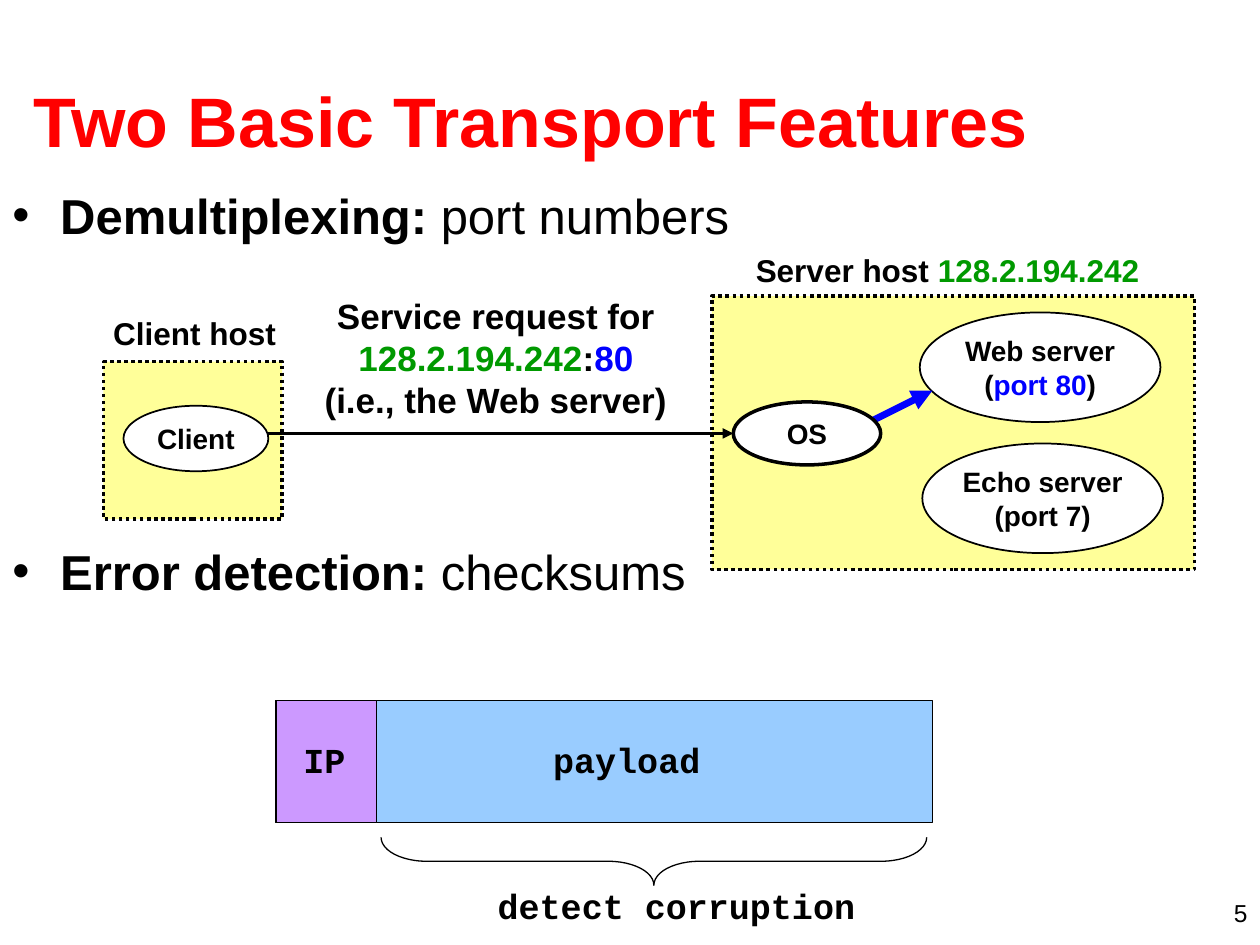
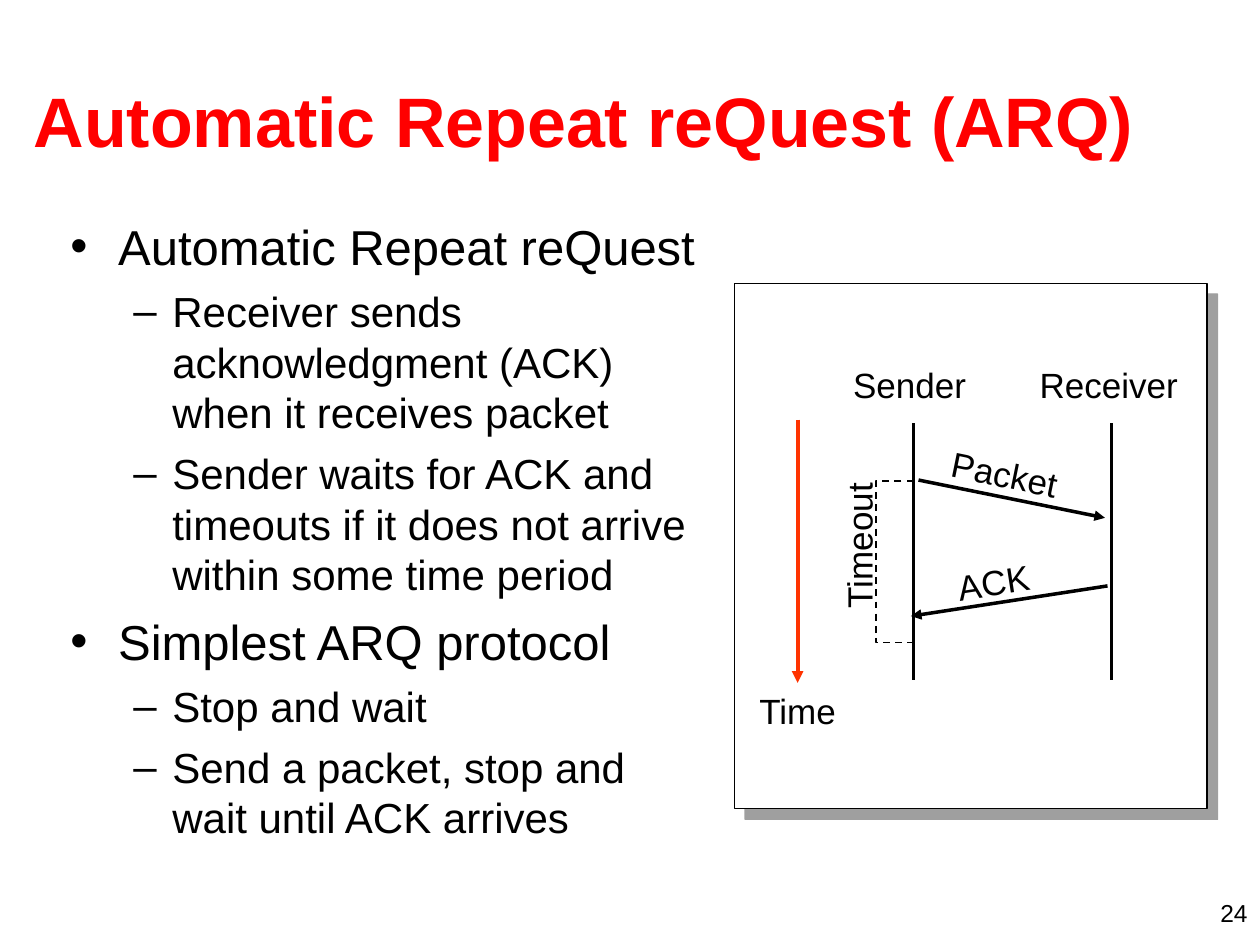
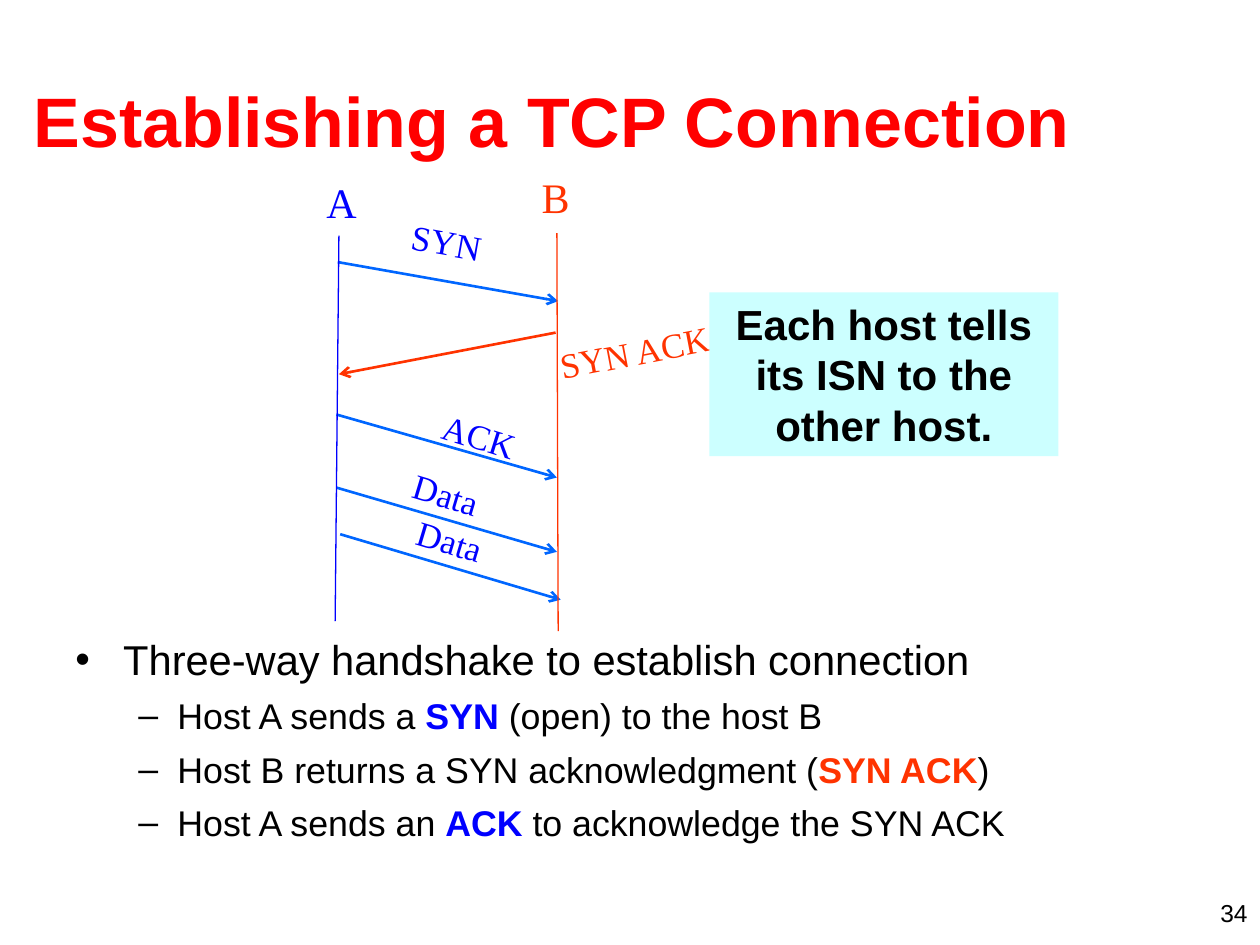
from dataclasses import dataclass
from lxml.etree import SubElement
from pptx import Presentation
from pptx.dml.color import RGBColor
from pptx.enum.dml import MSO_LINE as Dash
from pptx.enum.shapes import MSO_CONNECTOR as Link, MSO_SHAPE as Form
from pptx.enum.text import MSO_ANCHOR as Anchor, PP_ALIGN as Align
from pptx.oxml.ns import qn
from pptx.util import Inches, Pt

BLACK = "000000"
WHITE = "FFFFFF"
RED = "FF0000"
ORANGE = "FF3300"
BLUE = "0000FF"
SKY = "0066FF"
GREEN = "009900"
YELLOW = "FFFF99"
GREY = "808080"
SANS = "Arial"
MONO = "Courier New"
SERIF = "Times New Roman"
LEAD = 1.2


@dataclass(frozen=True)
class Look:
    size: float = 20
    color: str = BLACK
    bold: bool = False
    font: str = SANS
    align: Align = Align.CENTER
    anchor: Anchor = Anchor.MIDDLE
    wrap: bool = False


@dataclass(frozen=True)
class Span:
    text: str
    color: str | None = None
    bold: bool | None = None


@dataclass(frozen=True)
class Box:
    left: float
    top: float
    width: float
    height: float
    turn: float = 0


@dataclass(frozen=True)
class Edge:
    color: str = BLACK
    width: float = 0.75
    dash: Dash | None = None


@dataclass(frozen=True)
class Level:
    mark: str
    left: float
    hang: float
    before: float


@dataclass(frozen=True)
class Item:
    level: int
    spans: tuple
    before: float | None = None


@dataclass(frozen=True)
class Arrow:
    start: tuple
    end: tuple
    edge: Edge
    tip: str | None = None


@dataclass(frozen=True)
class Label:
    box: Box
    lines: tuple
    look: Look


LEVELS = (Level("•", 0.38, 0.38, 7), Level("–", 0.81, 0.31, 6))
TITLE = Look(40, RED, True, align=Align.LEFT, wrap=True)
NUMBER = Look(14, align=Align.RIGHT, anchor=Anchor.TOP, wrap=True)
BODY = Look(28, align=Align.LEFT, anchor=Anchor.TOP, wrap=True)
PLAIN = Look()
STRONG = Look(bold=True)
HOST = Look(18, bold=True, align=Align.LEFT, anchor=Anchor.TOP)
NODE = Look(16, bold=True)
CODE = Look(bold=True, font=MONO, anchor=Anchor.TOP)
THIN = Edge(width=1)
THICK = Edge(width=2)
DOTTED = Edge(width=2, dash=Dash.ROUND_DOT)


def rgb(value: str) -> RGBColor:
    return RGBColor.from_string(value)


def place(box: Box) -> tuple:
    return tuple(Inches(n) for n in (box.left, box.top, box.width, box.height))


def fill_para(para, spans: tuple, look: Look, size: float) -> None:
    para.alignment = look.align
    para.line_spacing = Pt(round(size * LEAD, 1))
    for part in spans:
        span = Span(part) if isinstance(part, str) else part
        run = para.add_run()
        run.text = span.text
        run.font.size = Pt(size)
        run.font.name = look.font
        run.font.bold = look.bold if span.bold is None else span.bold
        run.font.color.rgb = rgb(span.color or look.color)


def paras(frame, count: int, look: Look) -> list:
    frame.word_wrap = look.wrap
    frame.vertical_anchor = look.anchor
    if look.align == Align.CENTER and not look.wrap:
        frame.margin_left = frame.margin_right = Inches(0.03)
    return [frame.paragraphs[0]] + [frame.add_paragraph() for _ in range(count - 1)]


def write(frame, lines: tuple, look: Look) -> None:
    for para, line in zip(paras(frame, len(lines), look), lines):
        fill_para(para, (line,) if isinstance(line, str) else line, look, look.size)


def text(slide, label: Label) -> None:
    shape = slide.shapes.add_textbox(*place(label.box))
    shape.rotation = label.box.turn
    write(shape.text_frame, label.lines, label.look)


def bullets(slide, box: Box, items: tuple, sizes: tuple) -> None:
    frame = slide.shapes.add_textbox(*place(box)).text_frame
    for para, item in zip(paras(frame, len(items), BODY), items):
        level = LEVELS[item.level]
        fill_para(para, item.spans, BODY, sizes[item.level])
        para.level = item.level
        para.space_before = Pt(level.before if item.before is None else item.before)
        props = para._p.get_or_add_pPr()
        props.set("marL", str(Inches(level.left)))
        props.set("indent", str(-Inches(level.hang)))
        tint = SubElement(props, qn("a:buClr"))
        SubElement(tint, qn("a:srgbClr"), val=BLACK)
        SubElement(props, qn("a:buFont"), typeface=SANS)
        SubElement(props, qn("a:buChar"), char=level.mark)


def outline(line, edge: Edge) -> None:
    line.color.rgb = rgb(edge.color)
    line.width = Pt(edge.width)
    if edge.dash is not None:
        line.dash_style = edge.dash


def paint(shape, fill: str | None, edge: Edge | None) -> None:
    shape.shadow.inherit = False
    if fill:
        shape.fill.solid()
        shape.fill.fore_color.rgb = rgb(fill)
    else:
        shape.fill.background()
    if edge:
        outline(shape.line, edge)
    else:
        shape.line.fill.background()


def draw(slide, form: Form, box: Box, fill: str | None, edge: Edge | None):
    shape = slide.shapes.add_shape(form, *place(box))
    shape.rotation = box.turn
    paint(shape, fill, edge)
    return shape


def node(slide, box: Box, lines: tuple, edge: Edge = THIN) -> None:
    shape = draw(slide, Form.OVAL, box, WHITE, edge)
    write(shape.text_frame, lines, NODE)


def join(slide, arrow: Arrow) -> None:
    ends = [Inches(n) for n in arrow.start + arrow.end]
    link = slide.shapes.add_connector(Link.STRAIGHT, *ends)
    outline(link.line, arrow.edge)
    SubElement(link._element.spPr, qn("a:effectLst"))
    if arrow.tip:
        SubElement(link.line._get_or_add_ln(), qn("a:tailEnd"), type=arrow.tip)


def cast(shape) -> None:
    effects = shape._element.spPr.find(qn("a:effectLst"))
    shade = SubElement(effects, qn("a:outerShdw"), blurRad="0", dist=str(Pt(8.5)),
                       dir="2700000", algn="ctr", rotWithShape="0")
    tint = SubElement(shade, qn("a:srgbClr"), val=GREY)
    SubElement(tint, qn("a:alpha"), val="75000")


def start(deck, title: str, number: str):
    slide = deck.slides.add_slide(deck.slide_layouts[6])
    text(slide, Label(Box(7.67, 7.08, 2.33, 0.25), (number,), NUMBER))
    text(slide, Label(Box(0.17, 0.32, 9.58, 1.25), (title,), TITLE))
    return slide


def features(deck) -> None:
    slide = start(deck, "Two Basic Transport Features", "5")
    items = (
        Item(0, (Span("Demultiplexing:", bold=True), " port numbers")),
        Item(0, (Span("Error detection:", bold=True), " checksums"), 170),
    )
    bullets(slide, Box(0, 1.42, 9, 4.95), items, (28, 24))
    for box in (Box(0.82, 2.87, 1.42, 1.25), Box(5.65, 2.35, 3.83, 2.17)):
        draw(slide, Form.RECTANGLE, box, YELLOW, DOTTED)
    address = Span("128.2.194.242", GREEN)
    request = ("Service request for", (address, ":", Span("80", BLUE)),
               "(i.e., the Web server)")
    for label in (
        Label(Box(0.8, 2.44, 1.49, 0.4), ("Client host",), HOST),
        Label(Box(5.9, 1.94, 3.24, 0.4), (("Server host ", address),), HOST),
        Label(Box(2.33, 2.29, 3.21, 1.1), request, STRONG),
    ):
        text(slide, label)
    web = ("Web server", ("(", Span("port 80", BLUE), ")"))
    node(slide, Box(7.3, 2.48, 1.91, 0.87), web)
    node(slide, Box(7.32, 3.52, 1.91, 0.87), ("Echo server", "(port 7)"))
    join(slide, Arrow((2.07, 3.44), (5.82, 3.44), THICK, "triangle"))
    join(slide, Arrow((6.9, 3.35), (7.4, 3.1), Edge(BLUE, 4), "triangle"))
    node(slide, Box(5.82, 3.19, 1.17, 0.5), ("OS",), THICK)
    node(slide, Box(0.98, 3.22, 1.15, 0.52), ("Client",))
    for width, fill in ((5.21, "99CCFF"), (0.8, "CC99FF")):
        draw(slide, Form.RECTANGLE, Box(2.19, 5.56, width, 0.97), fill, Edge())
    brace = draw(slide, Form.LEFT_BRACE, Box(5, 4.67, 0.38, 4.33, 270), None, Edge())
    brace.adjustments[0] = 0.95
    for box, word in (
        (Box(2.31, 5.81, 0.53, 0.44), "IP"),
        (Box(4.29, 5.81, 1.37, 0.44), "payload"),
        (Box(3.85, 6.97, 3.04, 0.44), "detect corruption"),
    ):
        text(slide, Label(box, (word,), CODE))


def repeat(deck) -> None:
    slide = start(deck, "Automatic Repeat reQuest (ARQ)", "24")
    cast(draw(slide, Form.RECTANGLE, Box(5.83, 2.25, 3.75, 4.17), WHITE, Edge()))
    items = (
        Item(0, ("Automatic Repeat reQuest",)),
        Item(1, ("Receiver sends acknowledgment (ACK) when it receives packet",)),
        Item(1, ("Sender waits for ACK and timeouts if it does not arrive "
                 "within some time period",)),
        Item(0, ("Simplest ARQ protocol",)),
        Item(1, ("Stop and wait",)),
        Item(1, ("Send a packet, stop and wait until ACK arrives",)),
    )
    bullets(slide, Box(0.46, 1.67, 5.26, 5.08), items, (28, 24))
    pen = slide.shapes.build_freeform(Inches(7.25), Inches(3.82), scale=1.0)
    turns = ((6.95, 3.82), (6.95, 5.1), (7.25, 5.1))
    pen.add_line_segments([(Inches(x), Inches(y)) for x, y in turns], close=False)
    paint(pen.convert_to_shape(), None, Edge(width=1, dash=Dash.DASH))
    for arrow in (
        Arrow((7.25, 3.36), (7.25, 5.4), THICK),
        Arrow((8.82, 3.36), (8.82, 5.4), THICK),
        Arrow((7.29, 3.81), (8.77, 4.11), THICK, "triangle"),
        Arrow((8.79, 4.65), (7.23, 4.89), THICK, "triangle"),
        Arrow((6.33, 3.33), (6.33, 5.42), Edge(ORANGE, 2.25), "triangle"),
    ):
        join(slide, arrow)
    for box, word in (
        (Box(5.92, 5.42, 0.82, 0.44), "Time"),
        (Box(7.45, 3.54, 1.05, 0.44, 11.5), "Packet"),
        (Box(7.5, 4.4, 0.77, 0.44, 351.2), "ACK"),
        (Box(6.15, 4.11, 1.33, 0.44, 270), "Timeout"),
        (Box(6.67, 2.83, 1.1, 0.44), "Sender"),
        (Box(8.15, 2.83, 1.3, 0.44), "Receiver"),
    ):
        text(slide, Label(box, (word,), PLAIN))


def connect(deck) -> None:
    slide = start(deck, "Establishing a TCP Connection", "34")
    items = (
        Item(0, ("Three-way handshake to establish connection",)),
        Item(1, ("Host A sends a ", Span("SYN", BLUE, True), " (open) to the host B")),
        Item(1, ("Host B returns a SYN acknowledgment (",
                 Span("SYN ACK", ORANGE, True), ")")),
        Item(1, ("Host A sends an ", Span("ACK", BLUE, True),
                 " to acknowledge the SYN ACK")),
    )
    bullets(slide, Box(0.5, 4.98, 9, 1.72), items, (23.8, 20.4))
    send, reply = Edge(SKY, 1.5), Edge(ORANGE, 1.5)
    for arrow in (
        Arrow((2.68, 2.08), (4.43, 2.39), send, "arrow"),
        Arrow((4.41, 2.64), (2.69, 2.97), reply, "arrow"),
        Arrow((2.67, 3.29), (4.42, 3.79), send, "arrow"),
        Arrow((2.67, 3.87), (4.42, 4.38), send, "arrow"),
        Arrow((2.7, 4.24), (4.45, 4.76), send, "arrow"),
        Arrow((4.42, 1.85), (4.43, 5.01), Edge(ORANGE)),
        Arrow((2.69, 1.87), (2.66, 4.93), Edge(BLUE)),
    ):
        join(slide, arrow)
    for box, word, size, color in (
        (Box(3.17, 1.7, 0.75, 0.44, 10.1), "SYN", 20, BLUE),
        (Box(4.32, 2.57, 1.43, 0.44, 349.1), "SYN ACK", 20, ORANGE),
        (Box(3.41, 3.24, 0.79, 0.44, 17.4), "ACK", 20, BLUE),
        (Box(3.18, 3.7, 0.72, 0.44, 16.7), "Data", 20, BLUE),
        (Box(3.21, 4.07, 0.72, 0.44, 16.7), "Data", 20, BLUE),
        (Box(2.49, 1.35, 0.44, 0.5), "A", 24, BLUE),
        (Box(4.2, 1.31, 0.42, 0.5), "B", 24, ORANGE),
    ):
        text(slide, Label(box, (word,), Look(size, color, font=SERIF)))
    note = draw(slide, Form.RECTANGLE, Box(5.63, 2.32, 2.77, 1.3), "CCFFFF", None)
    write(note.text_frame, ("Each host tells its ISN to the other host.",),
          Look(24, bold=True, anchor=Anchor.TOP, wrap=True))


def main() -> None:
    deck = Presentation()
    deck.slide_width = Inches(10)
    deck.slide_height = Inches(7.5)
    for build in (features, repeat, connect):
        build(deck)
    deck.save("out.pptx")


if __name__ == "__main__":
    main()
